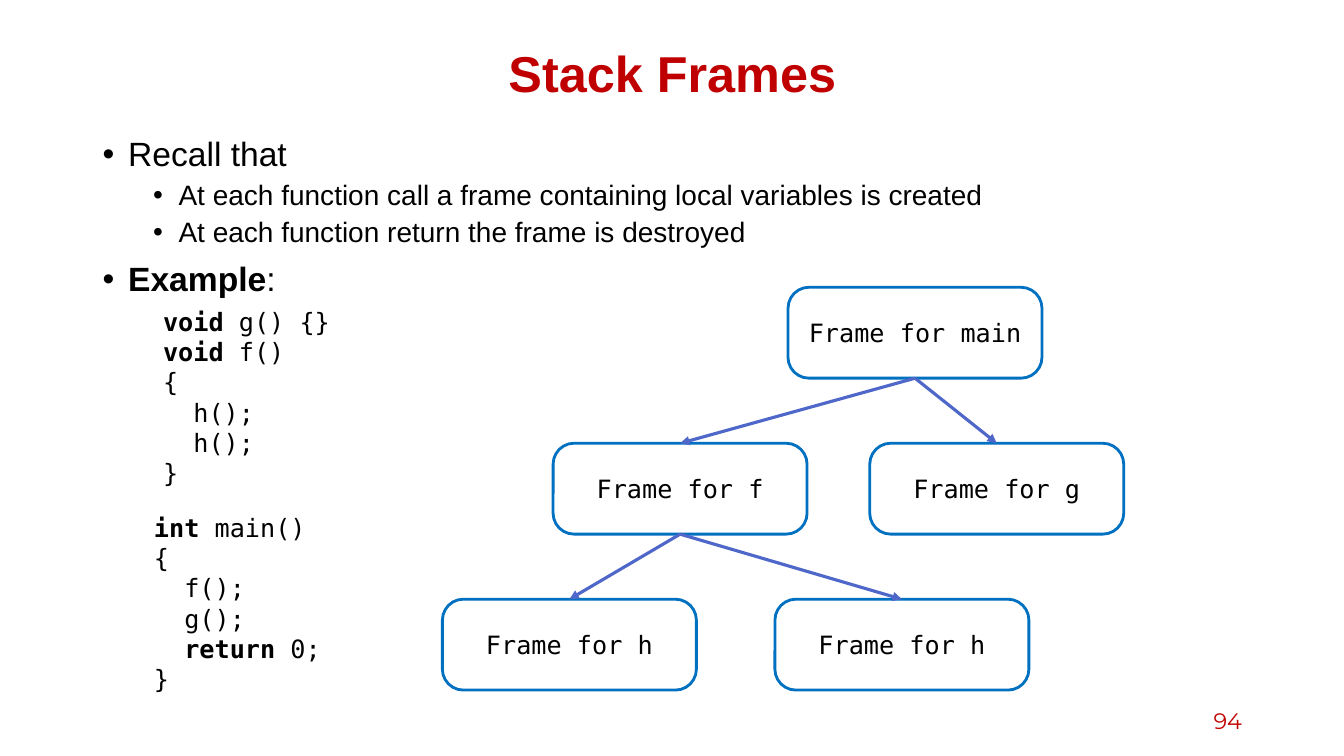
"""Build the slide on stack frames, with its code and call tree."""
import pptx
import pptx.dml.color
import pptx.enum.shapes
import pptx.enum.text
import pptx.oxml
import pptx.oxml.ns
import pptx.util

Cm = pptx.util.Cm
Pt = pptx.util.Pt
Color = pptx.dml.color.RGBColor
Align = pptx.enum.text.PP_ALIGN
Anchor = pptx.enum.text.MSO_ANCHOR

RED = Color(0xC0, 0x00, 0x00)
BLACK = Color(0x00, 0x00, 0x00)
BLUE = Color(0x00, 0x70, 0xC0)
INDIGO = Color(0x4E, 0x67, 0xC8)
SANS = "Arial"
MONO = "DejaVu Sans Mono"

POINTS = [
    (0, "Recall that"),
    (1, "At each function call a frame containing local variables is created"),
    (1, "At each function return the frame is destroyed"),
    (0, "*Example*:"),
]
CALLEE = ["*void* g() {}", "*void* f()", "{", "  h();", "  h();", "}"]
CALLER = ["*int* main()", "{", "  f();", "  g();", "  *return* 0;", "}"]
FRAMES = [
    ("main", 19.86, 0, None),
    ("f", 13.94, 1, 0),
    ("g", 21.92, 1, 0),
    ("h", 11.15, 2, 1),
    ("h", 19.53, 2, 1),
]


def add_xml(parent, tag, **attrs):
    node = pptx.oxml.parse_xml(f"<a:{tag} {pptx.oxml.ns.nsdecls('a')}/>")
    for key, value in attrs.items():
        node.set(key, str(value))
    parent.append(node)


def style(font, name, size, color):
    font.name = name
    font.size = Pt(size)
    font.color.rgb = color


def write(para, text, name, size, color=BLACK):
    for i, part in enumerate(text.split("*")):
        if part:
            run = para.add_run()
            run.text = part
            style(run.font, name, size, color)
            run.font.bold = i % 2 == 1


def add_box(slide, left, top, width, height, anchor=Anchor.TOP):
    box = slide.shapes.add_textbox(Cm(left), Cm(top), Cm(width), Cm(height))
    frame = box.text_frame
    frame.word_wrap = True
    frame.vertical_anchor = anchor
    return frame


def add_para(frame, index):
    return frame.add_paragraph() if index else frame.paragraphs[0]


def add_points(slide):
    frame = add_box(slide, 2.34, 3.35, 29.21, 14)
    for i, (level, text) in enumerate(POINTS):
        para = add_para(frame, i)
        para.level = level
        props = para._p.get_or_add_pPr()
        props.set("marL", str(Cm(0.64 + 1.27 * level)))
        props.set("indent", str(Cm(-0.64)))
        add_xml(props, "buFont", typeface=SANS)
        add_xml(props, "buChar", char="•")
        para.line_spacing = 0.9
        para.space_before = Pt((5 if level else 10) if i else 0)
        write(para, text, SANS, 20 if level else 24)


def add_code(slide, lines, left, top, width):
    frame = add_box(slide, left, top, width, 4.88)
    for i, line in enumerate(lines):
        write(add_para(frame, i), line, MONO, 18)


def add_frame(slide, name, left, row):
    kind = pptx.enum.shapes.MSO_SHAPE.ROUNDED_RECTANGLE
    top = 7.24 + 3.93 * row
    shape = slide.shapes.add_shape(kind, Cm(left), Cm(top), Cm(6.4), Cm(2.29))
    shape.adjustments[0] = 0.23
    shape.shadow.inherit = False
    shape.fill.background()
    shape.line.color.rgb = BLUE
    shape.line.width = Pt(2)
    frame = shape.text_frame
    frame.word_wrap = True
    frame.vertical_anchor = Anchor.MIDDLE
    para = frame.paragraphs[0]
    para.alignment = Align.CENTER
    write(para, f"Frame for {name}", MONO, 18)
    return shape


def add_arrow(slide, start, end):
    kind = pptx.enum.shapes.MSO_CONNECTOR.STRAIGHT
    arrow = slide.shapes.add_connector(kind, 0, 0, 0, 0)
    arrow.begin_connect(start, 2)
    arrow.end_connect(end, 0)
    arrow.line.color.rgb = INDIGO
    arrow.line.width = Pt(2.25)
    add_xml(arrow.line._get_or_add_ln(), "tailEnd", type="triangle")
    add_xml(arrow._element.spPr, "effectLst")


def add_tree(slide):
    shapes = [add_frame(slide, name, left, row) for name, left, row, _ in FRAMES]
    for shape, (_, _, _, caller) in zip(shapes, FRAMES):
        if caller is not None:
            add_arrow(slide, shapes[caller], shape)


def main():
    deck = pptx.Presentation()
    deck.slide_width = Cm(33.87)
    deck.slide_height = Cm(19.05)
    slide = deck.slides.add_slide(deck.slide_layouts[6])
    title = add_box(slide, 2.34, 1.02, 29.21, 1.78, Anchor.MIDDLE).paragraphs[0]
    title.alignment = Align.CENTER
    title.line_spacing = 0.9
    write(title, "*Stack Frames*", SANS, 36, RED)
    add_points(slide)
    number = add_box(slide, 23.93, 17.65, 7.62, 1.02, Anchor.MIDDLE).paragraphs[0]
    number.alignment = Align.RIGHT
    write(number, "94", "Montserrat", 16, RED)
    add_tree(slide)
    add_code(slide, CALLER, 3.63, 12.78, 7.29)
    add_code(slide, CALLEE, 3.86, 7.59, 5.87)
    deck.save("out.pptx")


if __name__ == "__main__":
    main()
